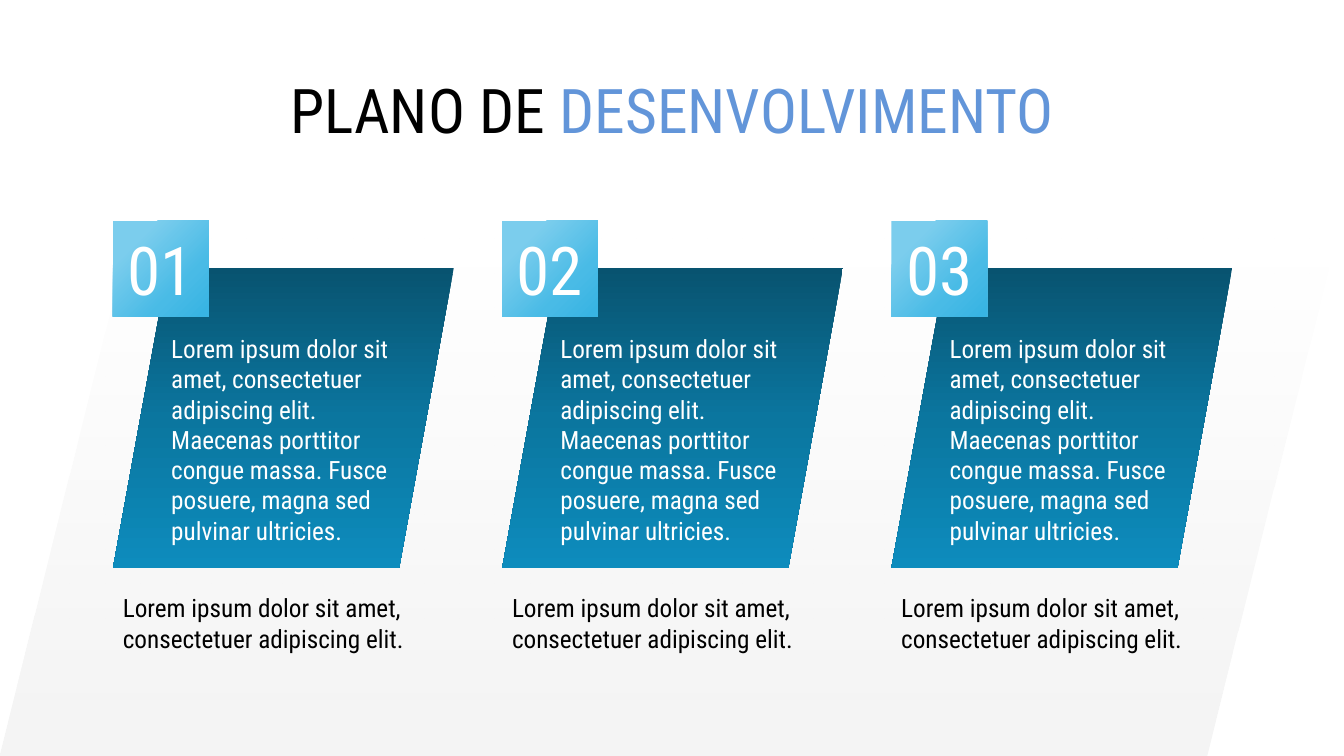
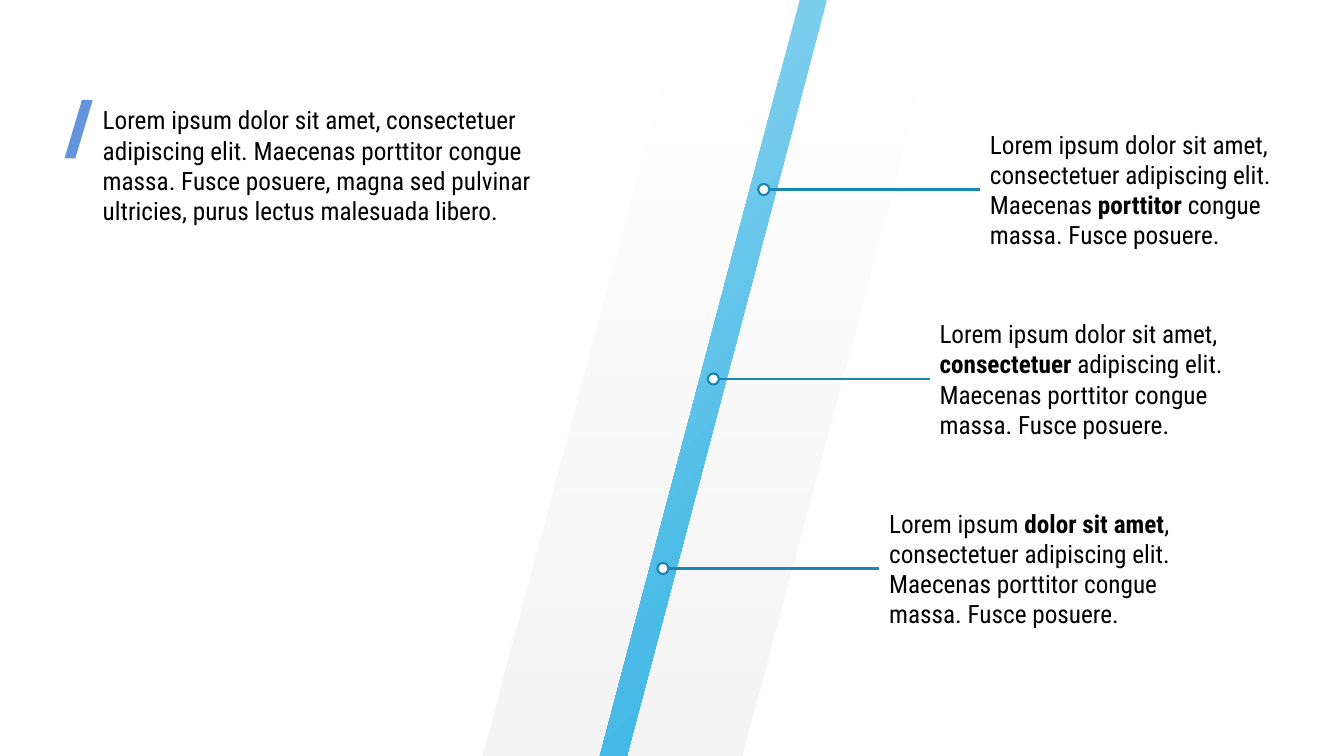
import lxml.etree
import pptx
import pptx.dml.color
import pptx.enum.shapes
import pptx.enum.text
import pptx.oxml
import pptx.oxml.ns
import pptx.util

Inches = pptx.util.Inches
Shape = pptx.enum.shapes.MSO_SHAPE
Anchor = pptx.enum.text.MSO_ANCHOR
Align = pptx.enum.text.PP_ALIGN
AutoSize = pptx.enum.text.MSO_AUTO_SIZE

FONT = "Roboto Condensed"
BLACK, WHITE = "000000", "FFFFFF"
ACCENT, LINE = "6295D9", "1987B1"
# A gradient is an angle and stops of (percent, colour, opacity percent).
SHADE = (90, [(0, "181818", 0), (100, "181818", 5)])
DEEP = (90, [(0, "085370", 100), (50, "0B769F", 100), (100, "0D8CBD", 100)])
SKY = (45, [(0, "7BCDED", 100), (23, "7BCDED", 100),
            (69, "49BBE6", 100), (97, "38B4E3", 100)])

CAPTION = "Lorem ipsum dolor sit amet, consectetuer adipiscing elit."
CARD_TEXT = (CAPTION + " Maecenas porttitor congue massa. Fusce posuere, "
             "magna sed pulvinar ultricies.")
INTRO = (CAPTION + " Maecenas porttitor congue massa. Fusce posuere, "
         "magna sed pulvinar ultricies, purus lectus malesuada libero.")
# Spans of each callout alternate between regular and bold.
CALLOUTS = [
    [CAPTION + " Maecenas ", "porttitor ", "congue massa. Fusce posuere."],
    ["Lorem ipsum dolor sit amet, ", "consectetuer ",
     "adipiscing elit. Maecenas porttitor congue massa. Fusce posuere."],
    ["Lorem ipsum ", "dolor sit amet",
     ", consectetuer adipiscing elit. Maecenas porttitor congue massa. "
     "Fusce posuere."],
]


def rgb(value):
    return pptx.dml.color.RGBColor.from_string(value)


class Designer:
    """Holds the deck, its style and the slide being drawn."""

    def __init__(self):
        self.deck = pptx.Presentation()
        self.deck.slide_width = Inches(13.33)
        self.deck.slide_height = Inches(7.5)
        self.slide = None

    def new_slide(self, layout):
        self.slide = self.deck.slides.add_slide(self.deck.slide_layouts[layout])

    def add_span(self, para, text, size, color, bold=False):
        span = para.add_run()
        span.text = text
        span.font.name = FONT
        span.font.size = pptx.util.Pt(size)
        span.font.bold = bold
        span.font.color.rgb = rgb(color)

    def title(self, spans):
        """Fill the title placeholder with (text, colour) spans."""
        box = self.slide.shapes.title
        box.left, box.top = Inches(0.92), Inches(0.4)
        box.width, box.height = Inches(11.5), Inches(1.45)
        box.text_frame.auto_size = AutoSize.NONE
        box.text_frame.vertical_anchor = Anchor.MIDDLE
        para = box.text_frame.paragraphs[0]
        para.alignment = Align.CENTER
        para.line_spacing = 0.9
        for text, color in spans:
            self.add_span(para, text, 44, color)

    def text(self, left, top, width, height, spans, color=BLACK,
             anchor=Anchor.TOP):
        """Add a text box whose every second span is bold."""
        box = self.slide.shapes.add_textbox(
            Inches(left), Inches(top), Inches(width), Inches(height))
        frame = box.text_frame
        frame.word_wrap = True
        frame.auto_size = AutoSize.SHAPE_TO_FIT_TEXT
        frame.vertical_anchor = anchor
        for index, text in enumerate(spans):
            self.add_span(frame.paragraphs[0], text, 18, color, index % 2 == 1)

    def shape(self, kind, left, top, width, height, fill, slant=None,
              line=None):
        """Add a shape filled with a colour or a gradient."""
        shape = self.slide.shapes.add_shape(
            kind, Inches(left), Inches(top), Inches(width), Inches(height))
        shape.shadow.inherit = False
        if slant is not None:
            shape.adjustments[0] = slant
        if line:
            shape.line.color.rgb = rgb(line)
            shape.line.width = pptx.util.Pt(1.5)
        else:
            shape.line.fill.background()
        if isinstance(fill, str):
            shape.fill.solid()
            shape.fill.fore_color.rgb = rgb(fill)
        else:
            self.gradient(shape, *fill)
        return shape

    def gradient(self, shape, angle, stops):
        marks = "".join(
            f'<a:gs pos="{percent * 1000}"><a:srgbClr val="{color}">'
            f'<a:alpha val="{opacity * 1000}"/></a:srgbClr></a:gs>'
            for percent, color, opacity in stops)
        fill = pptx.oxml.parse_xml(
            f'<a:gradFill {pptx.oxml.ns.nsdecls("a")} rotWithShape="1">'
            f'<a:gsLst>{marks}</a:gsLst>'
            f'<a:lin ang="{angle * 60000}" scaled="0"/></a:gradFill>')
        shape.fill.background()
        properties = shape._element.spPr
        properties.replace(
            properties.find(pptx.oxml.ns.qn("a:noFill")), fill)

    def line(self, left, right, y):
        line = self.slide.shapes.add_connector(
            pptx.enum.shapes.MSO_CONNECTOR.STRAIGHT,
            Inches(left), Inches(y), Inches(right), Inches(y))
        line.line.color.rgb = rgb(LINE)
        line.line.width = pptx.util.Pt(1.5)
        lxml.etree.SubElement(line._element.spPr,
                              pptx.oxml.ns.qn("a:effectLst"))

    def card(self, left, number):
        self.shape(Shape.PARALLELOGRAM, left, 2.66, 3.38, 2.98, DEEP, 0.182)
        badge = self.shape(Shape.RECTANGLE, left, 2.19, 0.95, 0.95, SKY)
        badge.text_frame.vertical_anchor = Anchor.MIDDLE
        para = badge.text_frame.paragraphs[0]
        para.alignment = Align.CENTER
        self.add_span(para, f"{number:02}", 48, WHITE)
        self.text(left + 0.48, 3.26, 2.38, 2.22, [CARD_TEXT], WHITE)
        self.text(left, 5.83, 3.38, 0.71, [CAPTION])

    def callout(self, left, y, spans):
        """Add a dot on the ribbon, tied by a line to its text."""
        dot, text_left, text_height = 0.11, left + 2.2, 1.31
        self.line(left + dot, text_left, y)
        self.text(text_left, y - text_height / 2, 3.28, text_height, spans,
                  anchor=Anchor.MIDDLE)
        self.shape(Shape.OVAL, left, y - dot / 2, dot, dot, WHITE, line=LINE)


def plan_slide(designer):
    designer.new_slide(5)
    designer.shape(Shape.PARALLELOGRAM, 0, 2.03, 13.33, 5.47, SHADE, 0.25)
    designer.title([("PLANO DE ", BLACK), ("DESENVOLVIMENTO", ACCENT)])
    for index in range(3):
        designer.card(1.12 + 3.86 * index, index + 1)


def ribbon_slide(designer):
    designer.new_slide(6)
    designer.shape(Shape.PARALLELOGRAM, 4.79, 0, 4.57, 7.5, SHADE, 0.437)
    designer.shape(Shape.PARALLELOGRAM, 5.95, 0, 2.25, 7.5, SKY, 0.881)
    designer.shape(Shape.PARALLELOGRAM, 0.64, 0.99, 0.28, 0.58, ACCENT, 0.618)
    designer.text(0.92, 0.99, 4.49, 1.31, [INTRO])
    for index, spans in enumerate(CALLOUTS):
        designer.callout(7.52 - 0.5 * index, 1.88 * (index + 1), spans)


def main():
    designer = Designer()
    plan_slide(designer)
    ribbon_slide(designer)
    designer.deck.save("out.pptx")


if __name__ == "__main__":
    main()
